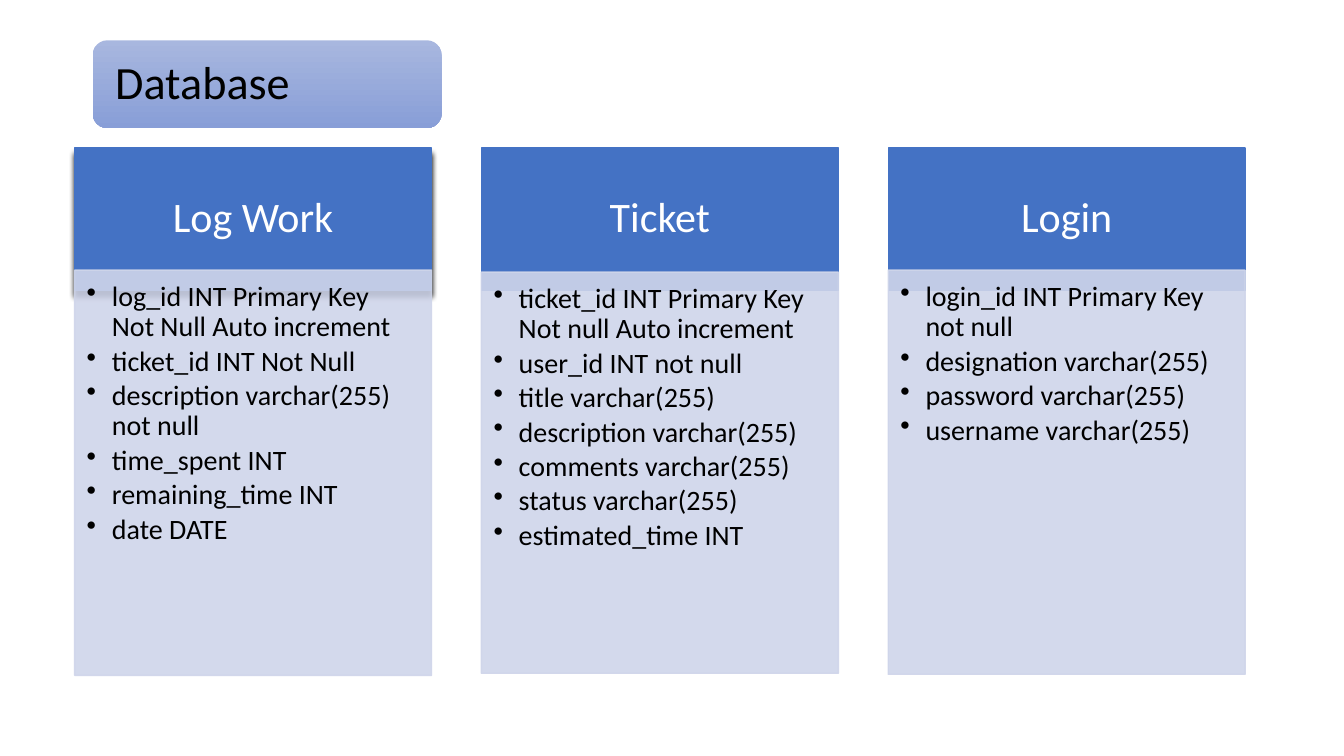
from lxml.etree import SubElement
from pptx import Presentation
from pptx.dml.color import RGBColor
from pptx.enum.shapes import MSO_SHAPE as Preset
from pptx.enum.text import MSO_ANCHOR as Anchor, PP_ALIGN as Align
from pptx.oxml.ns import qn
from pptx.util import Inches, Pt

COLORS = {
    "header": "4472C4",
    "body": "CFD5EA",
    "title_top": "A8B7DF",
    "title_bottom": "889ED7",
    "light": "FFFFFF",
    "dark": "000000",
}
FONT = "Calibri"
LEFT, TOP, WIDTH, PITCH = 0.74, 1.47, 3.54, 4.035
HEADER_HEIGHT = 1.41

TABLES = [
    ("Log Work", 2.68, 4.02, [
        "log_id INT Primary Key Not Null Auto increment",
        "ticket_id INT Not Null",
        "description varchar(255) not null",
        "time_spent INT",
        "remaining_time INT",
        "date DATE",
    ]),
    ("Ticket", 2.7, 3.98, [
        "ticket_id INT Primary Key Not null Auto increment",
        "user_id INT not null",
        "title varchar(255)",
        "description varchar(255)",
        "comments varchar(255)",
        "status varchar(255)",
        "estimated_time INT",
    ]),
    ("Login", 2.68, 4.01, [
        "login_id INT Primary Key not null",
        "designation varchar(255)",
        "password varchar(255)",
        "username varchar(255)",
    ]),
]


def color(name):
    return RGBColor.from_string(COLORS[name])


def add_panel(slide, preset, box, insets, anchor):
    panel = slide.shapes.add_shape(preset, *map(Inches, box))
    panel.shadow.inherit = False
    frame = panel.text_frame
    frame.word_wrap = True
    frame.vertical_anchor = anchor
    (frame.margin_left, frame.margin_top,
     frame.margin_right, frame.margin_bottom) = map(Inches, insets)
    return panel


def paint(panel, name):
    panel.fill.solid()
    panel.fill.fore_color.rgb = color(name)
    panel.line.color.rgb = color(name)
    panel.line.width = Pt(1)


def write(panel, lines, size, color_name, align):
    frame = panel.text_frame
    frame.text = "\n".join(lines)
    for paragraph in frame.paragraphs:
        paragraph.alignment = align
        paragraph.line_spacing = 0.9
        font = paragraph.runs[0].font
        font.name = FONT
        font.size = Pt(size)
        font.color.rgb = color(color_name)


def add_bullets(panel):
    for paragraph in panel.text_frame.paragraphs:
        paragraph.space_after = Pt(3)
        properties = paragraph._p.get_or_add_pPr()
        properties.set("marL", str(Inches(0.25)))
        properties.set("indent", str(Inches(-0.25)))
        SubElement(properties, qn("a:buChar"), char="•")


def make_translucent(panel, percent):
    for tint in panel._element.spPr.iter(qn("a:srgbClr")):
        SubElement(tint, qn("a:alpha"), val=str(percent * 1000))


def add_shadow(panel):
    effects = panel._element.spPr.find(qn("a:effectLst"))
    shadow = SubElement(effects, qn("a:outerShdw"), blurRad=str(Pt(4)),
                        dist=str(Pt(4)), dir="5400000", rotWithShape="0")
    SubElement(shadow, qn("a:srgbClr"), val=COLORS["dark"])


def add_table_card(slide, left, name, body_top, body_height, columns):
    header = add_panel(slide, Preset.RECTANGLE, (left, TOP, WIDTH, HEADER_HEIGHT),
                       (0.23, 0.13, 0.23, 0.13), Anchor.MIDDLE)
    paint(header, "header")
    write(header, [name], 30, "light", Align.CENTER)

    body = add_panel(slide, Preset.RECTANGLE, (left, body_top, WIDTH, body_height),
                     (0.12, 0.12, 0.16, 0.17), Anchor.TOP)
    paint(body, "body")
    make_translucent(body, 90)
    write(body, columns, 20, "dark", Align.LEFT)
    add_bullets(body)
    return header


def add_title(slide, text):
    title = add_panel(slide, Preset.ROUNDED_RECTANGLE, (0.92, 0.4, 3.46, 0.87),
                      (0.18, 0.18, 0.18, 0.18), Anchor.MIDDLE)
    title.fill.gradient()
    title.fill.gradient_angle = 270
    for stop, name in zip(title.fill.gradient_stops, ("title_top", "title_bottom")):
        stop.color.rgb = color(name)
    title.line.fill.background()
    write(title, [text], 33, "dark", Align.LEFT)


def main():
    deck = Presentation()
    deck.slide_width, deck.slide_height = Inches(13.33), Inches(7.5)
    slide = deck.slides.add_slide(deck.slide_layouts[6])
    headers = [add_table_card(slide, LEFT + index * PITCH, *table)
               for index, table in enumerate(TABLES)]
    add_shadow(headers[0])
    add_title(slide, "Database")
    deck.save("out.pptx")


if __name__ == "__main__":
    main()
